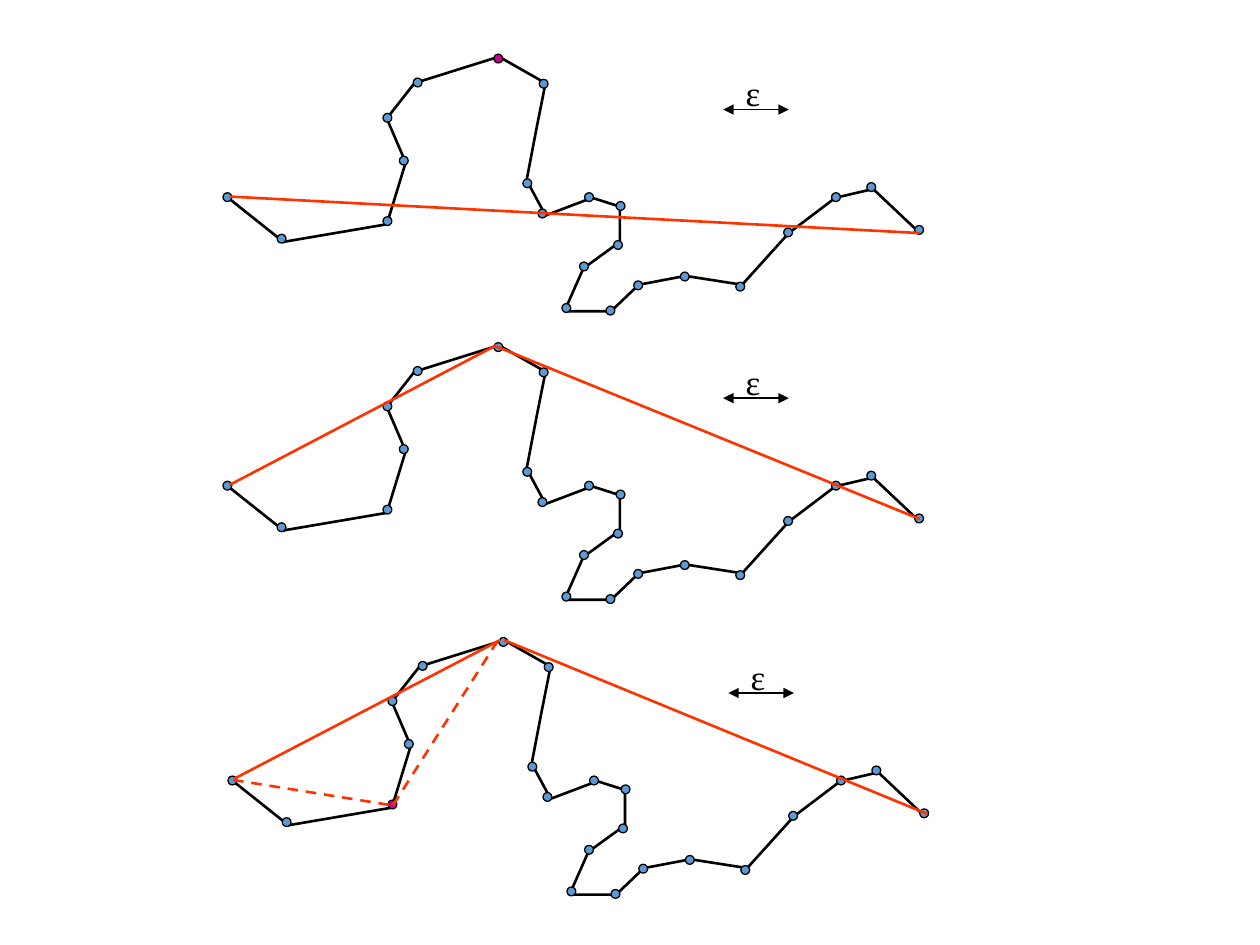
from lxml import etree
from pptx import Presentation
from pptx import util as u
from pptx.dml import color
from pptx.enum import dml, shapes, text
from pptx.oxml import ns

WIDTH, HEIGHT = u.Inches(10), u.Inches(7.5)
COLUMNS, ROWS = 1000, 750
DOT = 7
BLACK, BLUE, MAGENTA, RED = "000000", "5B9BD5", "CC0099", "FF3300"

CURVE = [
    (0, 112), (44, 147), (126, 133), (141, 84), (126, 49), (148, 21),
    (215, 0), (252, 21), (245, 56), (237, 98), (252, 126), (289, 112),
    (311, 119), (311, 147), (282, 168), (267, 202), (304, 202), (326, 181),
    (363, 174), (408, 181), (445, 140), (482, 112), (512, 105), (549, 140),
]
DOTS = [
    (-4, 108), (39, 141), (123, 127), (136, 79), (123, 45), (147, 17),
    (211, -2), (247, 18), (234, 97), (246, 121), (283, 108), (306, 146),
    (308, 115), (279, 163), (265, 196), (300, 198), (322, 178), (359, 171),
    (545, 134), (507, 100), (479, 108), (441, 136), (403, 179),
]
PANELS = [
    {"origin": (185, 508), "farthest": 2,
     "chords": [((1, 110), (212, 0)), ((215, 0), (551, 138))],
     "candidates": [((0, 111), (125, 131)), ((127, 131), (211, -1))]},
    {"origin": (181, 274), "farthest": None,
     "chords": [((1, 111), (213, 0)), ((213, 1), (549, 138))],
     "candidates": []},
    {"origin": (181, 45), "farthest": 6,
     "chords": [((1, 111), (549, 140))],
     "candidates": []},
]


def column(count):
    return round(WIDTH * count / COLUMNS)


def row(count):
    return round(HEIGHT * count / ROWS)


def place(origin, point):
    return column(origin[0] + point[0]), row(origin[1] + point[1])


def apply_format(target, values):
    for name, value in values.items():
        setattr(target, name, value)


def paint(format_part, hex_color):
    format_part.solid()
    format_part.fore_color.rgb = color.RGBColor.from_string(hex_color)


def style_line(line, hex_color, **values):
    paint(line.fill, hex_color)
    apply_format(line, values)


def add_curve(slide, origin):
    start, *rest = [place(origin, point) for point in CURVE]
    builder = slide.shapes.build_freeform(*start)
    builder.add_line_segments(rest, close=False)
    shape = builder.convert_to_shape()
    shape.shadow.inherit = False
    shape.fill.background()
    style_line(shape.line, BLACK, width=u.Pt(1.5))


def add_dot(slide, origin, corner, hex_color):
    shape = slide.shapes.add_shape(
        shapes.MSO_SHAPE.OVAL, *place(origin, corner), column(DOT), row(DOT))
    shape.shadow.inherit = False
    paint(shape.fill, hex_color)
    style_line(shape.line, BLACK, width=u.Pt(0.75))


def add_segment(parent, origin, ends, hex_color, **values):
    start, end = [place(origin, point) for point in ends]
    connector = parent.shapes.add_connector(
        shapes.MSO_CONNECTOR.STRAIGHT, *start, *end)
    style_line(connector.line, hex_color, **values)
    etree.SubElement(connector._element.spPr, ns.qn("a:effectLst"))
    return connector


def add_tolerance(slide, origin):
    group = slide.shapes.add_group_shape()
    box = group.shapes.add_textbox(
        *place(origin, (401, 7)), column(32), row(43))
    apply_format(box.text_frame, {
        "word_wrap": False, "auto_size": text.MSO_AUTO_SIZE.SHAPE_TO_FIT_TEXT})
    run = box.text_frame.paragraphs[0].add_run()
    run.text = "ε"
    apply_format(run.font, {"name": "Times New Roman", "size": u.Pt(20)})
    paint(run.font.fill, BLACK)
    arrow = add_segment(
        group, origin, ((393, 42), (445, 42)), BLACK, width=u.Pt(0.75))
    outline = arrow._element.spPr.find(ns.qn("a:ln"))
    for end in ("a:headEnd", "a:tailEnd"):
        etree.SubElement(outline, ns.qn(end), type="triangle")


def add_panel(slide, origin, farthest, chords, candidates):
    add_curve(slide, origin)
    for index, corner in enumerate(DOTS):
        add_dot(slide, origin, corner, MAGENTA if index == farthest else BLUE)
    for chord in chords:
        add_segment(slide, origin, chord, RED, width=u.Pt(1.5))
    for candidate in candidates:
        add_segment(slide, origin, candidate, RED, width=u.Pt(1.5),
                    dash_style=dml.MSO_LINE.DASH)
    add_tolerance(slide, origin)


def main():
    presentation = Presentation()
    apply_format(presentation, {"slide_width": WIDTH, "slide_height": HEIGHT})
    slide = presentation.slides.add_slide(presentation.slide_layouts[6])
    for panel in PANELS:
        add_panel(slide, **panel)
    presentation.save("out.pptx")


if __name__ == "__main__":
    main()
